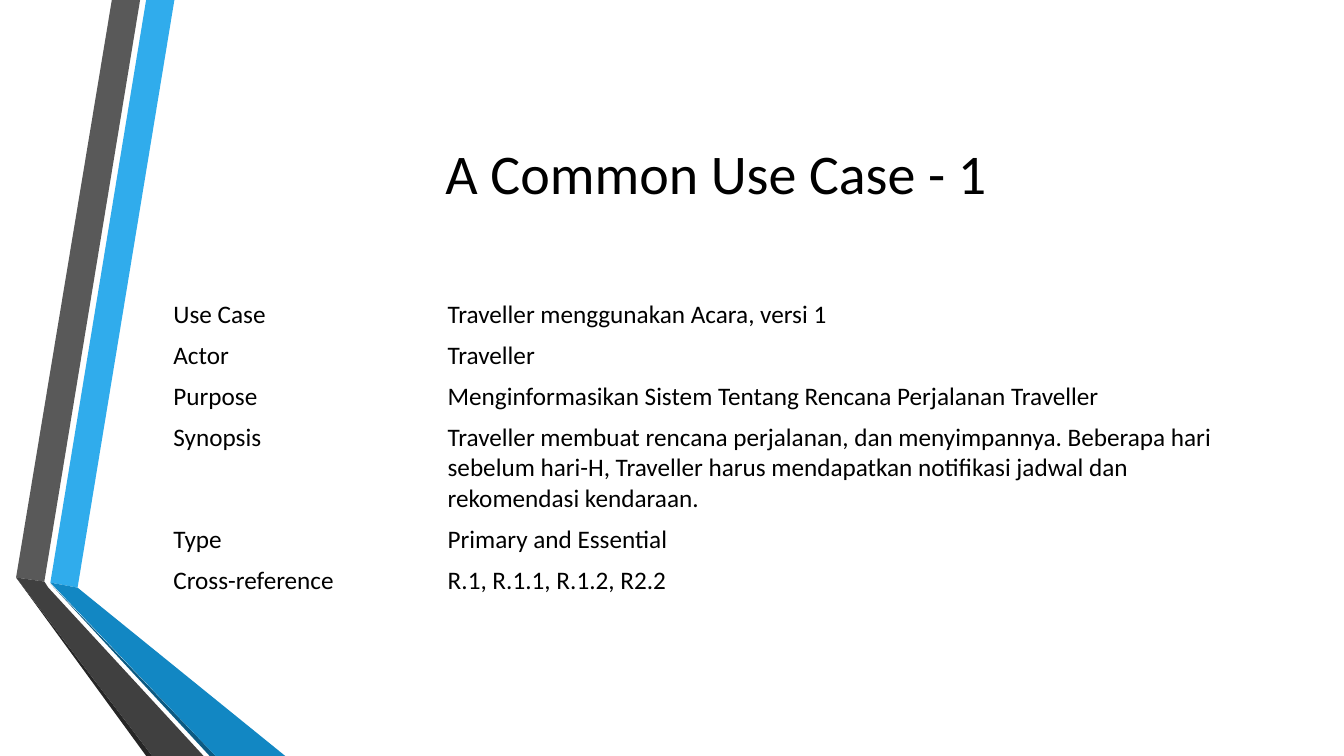
from pptx import Presentation
from pptx.dml.color import RGBColor
from pptx.enum import text
from pptx.util import Inches, Pt

FONT = "Calibri"
BLACK = "000000"

RIBBON_FACETS = [
    ("30ACEC", [(0.5, 5.78), (0.77, 5.83), (1.73, 0), (1.45, 0)]),
    ("595959", [(1.39, 0), (1.11, 0), (0.16, 5.73), (0.44, 5.77)]),
    ("262626", [(0.16, 5.73), (1.45, 7.5), (1.51, 7.5)]),
    ("0C5A82", [(0.5, 5.79), (2.08, 7.5), (2.14, 7.5)]),
    ("1287C3", [(0.5, 5.78), (2.14, 7.5), (2.83, 7.5), (0.77, 5.83)]),
    ("404040", [(2.02, 7.5), (0.48, 5.83), (0.44, 5.77), (0.16, 5.73), (1.51, 7.5)]),
]

USE_CASE_ROWS = [
    ("Use Case", "Traveller menggunakan Acara, versi 1"),
    ("Actor", "Traveller"),
    ("Purpose", "Menginformasikan Sistem Tentang Rencana Perjalanan Traveller"),
    ("Synopsis", "Traveller membuat rencana perjalanan, dan menyimpannya. "
                 "Beberapa hari sebelum hari-H, Traveller harus mendapatkan "
                 "notifikasi jadwal dan rekomendasi kendaraan."),
    ("Type", "Primary and Essential"),
    ("Cross-reference", "R.1, R.1.1, R.1.2, R2.2"),
]


def color(value):
    return RGBColor.from_string(value)


def write(text_frame, content, size):
    text_frame.text = content
    paragraph = text_frame.paragraphs[0]
    for run in paragraph.runs:
        run.font.name = FONT
        run.font.size = Pt(size)
        run.font.color.rgb = color(BLACK)
    return paragraph


def add_facet(slide, fill, points):
    start, *others = [(Inches(x), Inches(y)) for x, y in points]
    builder = slide.shapes.build_freeform(*start)
    builder.add_line_segments(others, close=True)
    shape = builder.convert_to_shape()
    shape.shadow.inherit = False
    shape.fill.solid()
    shape.fill.fore_color.rgb = color(fill)
    shape.line.fill.background()


def set_title(slide, content):
    title = slide.shapes.title
    title.left, title.top = Inches(1.62), Inches(0.75)
    title.width, title.height = Inches(10.96), Inches(1.92)
    title.text_frame.vertical_anchor = text.MSO_ANCHOR.MIDDLE
    write(title.text_frame, content, 40).alignment = text.PP_ALIGN.CENTER


def add_plain_table(slide, rows):
    """Add a two-column table without fills, header or banding."""
    table = slide.shapes.add_table(
        len(rows), 2, Inches(1.62), Inches(2.92), Inches(10.95), Inches(0.41) * len(rows)
    ).table
    table.first_row = False
    table.horz_banding = False
    for column, width in zip(table.columns, (2.72, 8.23)):
        column.width = Inches(width)
    for row, contents in zip(table.rows, rows):
        row.height = Inches(1.02 if contents[0] == "Synopsis" else 0.4)
        for cell, content in zip(row.cells, contents):
            cell.fill.background()
            write(cell.text_frame, content, 18)


def main():
    presentation = Presentation()
    presentation.slide_width = Inches(13.33)
    presentation.slide_height = Inches(7.5)
    slide = presentation.slides.add_slide(presentation.slide_layouts[5])
    for fill, points in RIBBON_FACETS:
        add_facet(slide, fill, points)
    set_title(slide, "A Common Use Case - 1")
    add_plain_table(slide, USE_CASE_ROWS)
    presentation.save("out.pptx")


if __name__ == "__main__":
    main()
